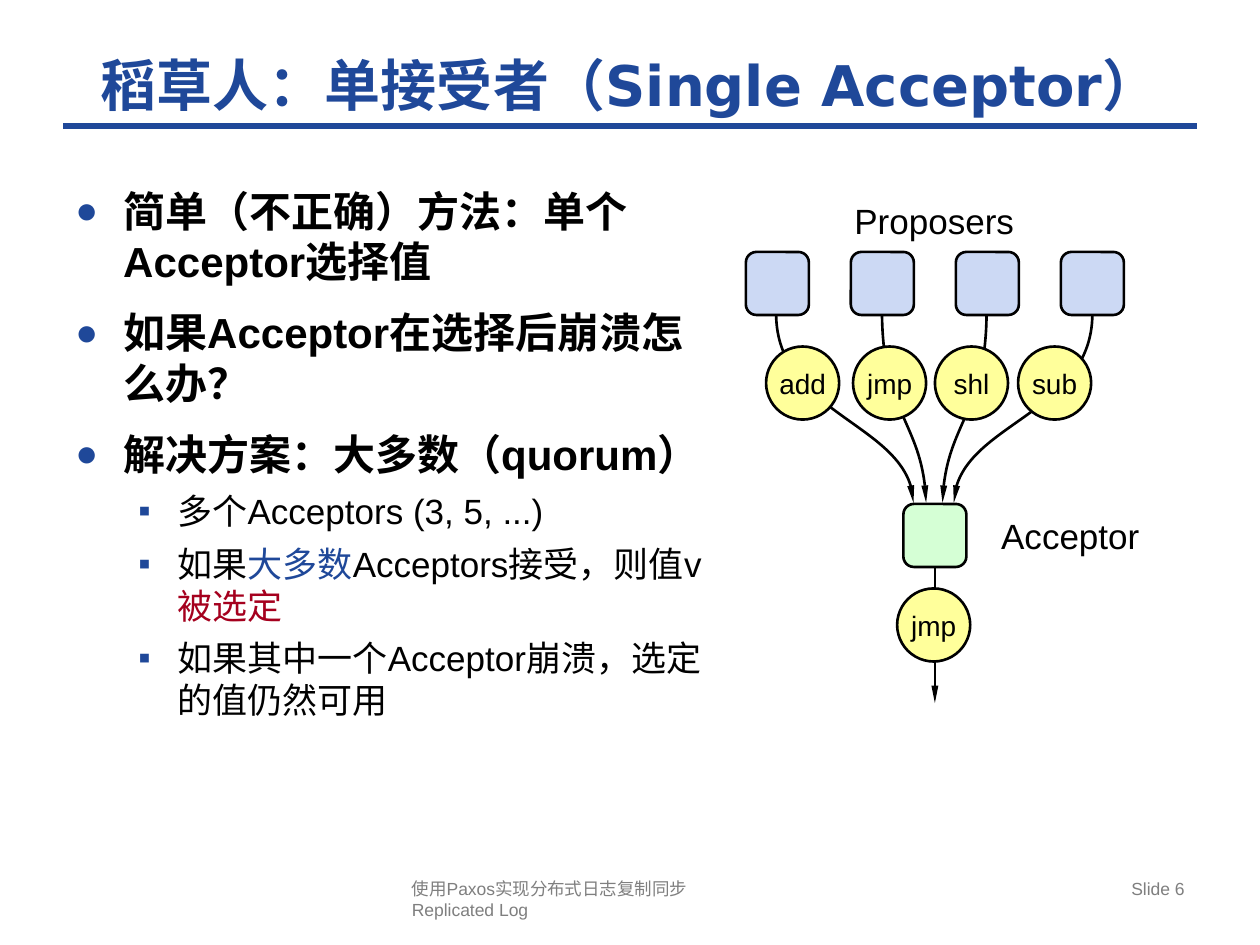
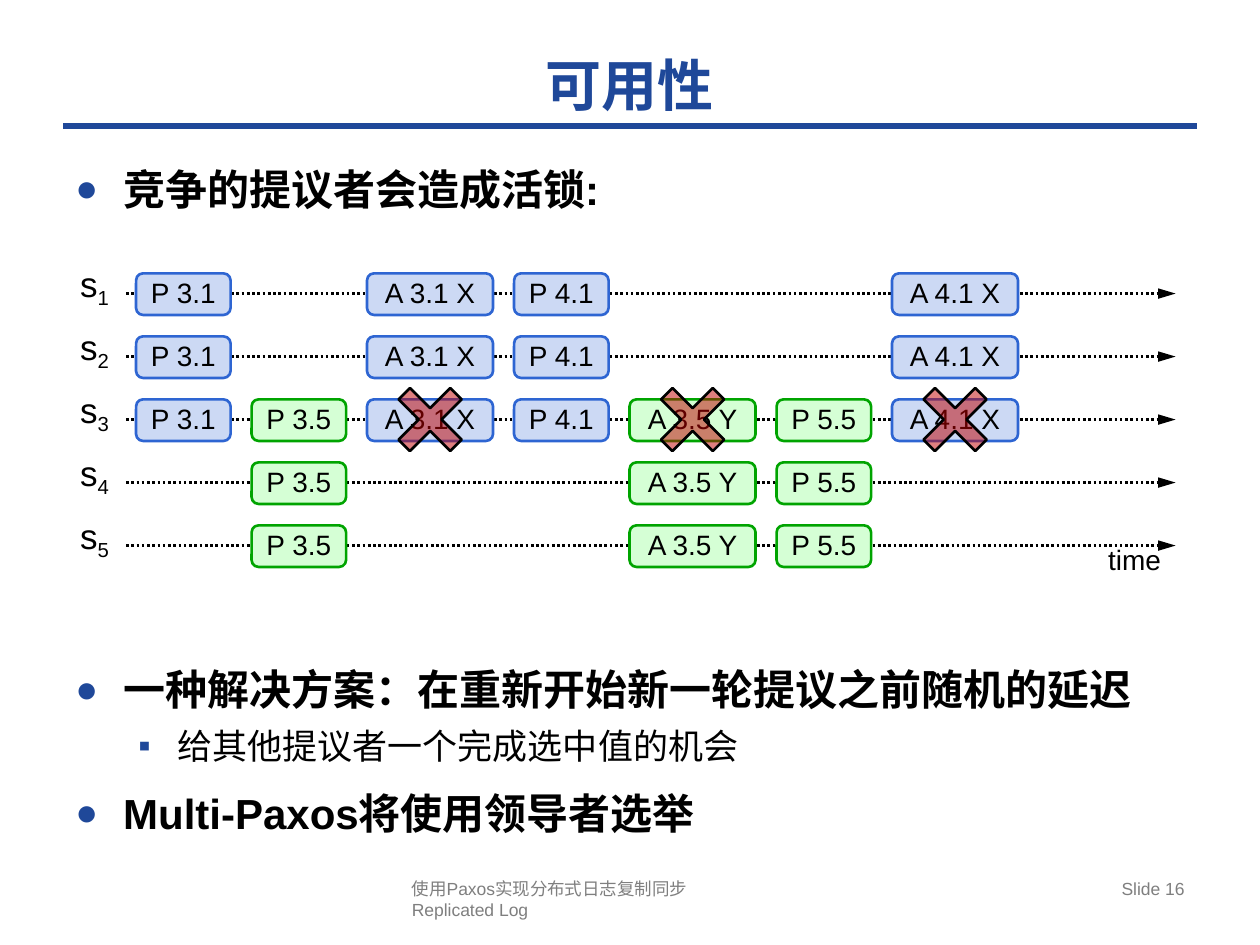
from lxml.etree import SubElement
from pptx import Presentation
from pptx.dml.color import RGBColor
from pptx.enum.dml import MSO_LINE
from pptx.enum.shapes import MSO_CONNECTOR, MSO_SHAPE
from pptx.enum.text import MSO_ANCHOR, MSO_AUTO_SIZE, PP_ALIGN
from pptx.oxml.ns import qn
from pptx.util import Inches, Pt

BLUE = RGBColor(0x1F, 0x48, 0x99)
RED = RGBColor(0xA5, 0x00, 0x1E)
CROSS = RGBColor(0xC0, 0x00, 0x00)
BLACK = RGBColor(0, 0, 0)
GRAY = RGBColor(0x7F, 0x7F, 0x7F)
SKY = RGBColor(0xCC, 0xD9, 0xF4)
EDGE = RGBColor(0x2E, 0x65, 0xD2)
MINT = RGBColor(0xD5, 0xFF, 0xD5)
GREEN = RGBColor(0x00, 0xA4, 0x00)
LEMON = RGBColor(0xFF, 0xFF, 0x9B)
FONT = "Arial"
HEAD = "DejaVu Sans"
FOOT = "使用Paxos实现分布式日志复制同步\nReplicated Log"


def style(para, size, color=BLACK, bold=False, name=FONT):
    for run in para.runs:
        font = run.font
        font.name, font.size, font.bold = name, Pt(size), bold
        font.color.rgb = color


def fit(frame, pad=0):
    frame.word_wrap = True
    frame.margin_left = frame.margin_right = Inches(pad)
    frame.margin_top = frame.margin_bottom = Inches(pad / 2)


def label(slide, text, box, size, color=BLACK, align=PP_ALIGN.CENTER, pad=0):
    frame = slide.shapes.add_textbox(*map(Inches, box)).text_frame
    fit(frame, pad)
    para = frame.paragraphs[0]
    para.text = text
    para.alignment = align
    style(para, size, color)
    return para


def node(slide, kind, box, fill, edge=BLACK, text="", pitch=None):
    shape = slide.shapes.add_shape(kind, *map(Inches, box))
    shape.shadow.inherit = False
    shape.fill.solid()
    shape.fill.fore_color.rgb = fill
    shape.line.color.rgb = edge
    shape.line.width = Pt(1.5)
    if text:
        frame = shape.text_frame
        fit(frame)
        frame.vertical_anchor = MSO_ANCHOR.MIDDLE
        para = frame.paragraphs[0]
        para.text = text
        para.alignment = PP_ALIGN.CENTER
        if pitch:
            para.line_spacing = Pt(pitch)
        style(para, 16)
    return shape


def ink(shape, color=BLACK, width=1.5, dash=None, tip=None):
    shape.line.color.rgb = color
    shape.line.width = Pt(width)
    if dash:
        shape.line.dash_style = dash
    props = shape.element.spPr
    if tip:
        SubElement(props.find(qn("a:ln")), qn("a:tailEnd"), type="triangle", w=tip, len="lg")
    SubElement(props, qn("a:effectLst"))


def wire(slide, ends, **look):
    ink(slide.shapes.add_connector(MSO_CONNECTOR.STRAIGHT, *map(Inches, ends)), **look)


def curve(slide, start, *points):
    pen = slide.shapes.build_freeform(*map(Inches, start))
    pen.add_line_segments([tuple(map(Inches, point)) for point in points], close=False)
    shape = pen.convert_to_shape()
    shape.fill.background()
    ink(shape, tip="sm")
    track = next(shape.element.iter(qn("a:path")))
    legs = track.findall(qn("a:lnTo"))
    bend = SubElement(track, qn("a:cubicBezTo"))
    for leg in legs:
        bend.append(leg[0])
        track.remove(leg)


def bullet(para, level):
    left, hang, mark, gap, scale = [(0.38, 0.38, "●", 12, 90), (0.81, 0.31, "▪", 6, 100)][level]
    para.level = level
    para.space_before = Pt(gap)
    props = para._p.get_or_add_pPr()
    props.set("marL", str(Inches(left)))
    props.set("indent", str(-Inches(hang)))
    tint = SubElement(props, qn("a:buClr"))
    SubElement(tint, qn("a:srgbClr"), val=str(BLUE))
    SubElement(props, qn("a:buSzPct"), val=str(scale * 1000))
    SubElement(props, qn("a:buFont"), typeface=FONT)
    SubElement(props, qn("a:buChar"), char=mark)


def body(slide, box, items):
    frame = slide.shapes.add_textbox(*map(Inches, box)).text_frame
    fit(frame, 0.1)
    for i, (level, parts) in enumerate(items):
        para = frame.add_paragraph() if i else frame.paragraphs[0]
        bullet(para, level)
        for text, _ in parts:
            para.add_run().text = text
        style(para, 20 if level else 24, bold=not level)
        for run, (_, color) in zip(para.runs, parts):
            run.font.color.rgb = color
    return frame


def plain(level, text):
    return level, [(text, BLACK)]


def start(deck, name, number):
    slide = deck.slides.add_slide(deck.slide_layouts[5])
    wire(slide, (0.5, 1, 9.5, 1), color=BLUE, width=4)
    title = slide.shapes.title
    title.left, title.top, title.width, title.height = map(Inches, (0.5, 0.33, 9, 0.67))
    frame = title.text_frame
    frame.text = name
    frame.auto_size = MSO_AUTO_SIZE.NONE
    frame.vertical_anchor = MSO_ANCHOR.MIDDLE
    fit(frame, 0.1)
    frame.paragraphs[0].alignment = PP_ALIGN.CENTER
    style(frame.paragraphs[0], 32, BLUE, True, HEAD)
    label(slide, FOOT, (3.17, 6.92, 3.75, 0.43), 10, GRAY, PP_ALIGN.LEFT, 0.1)
    label(slide, f"Slide {number}", (7.17, 6.92, 2.33, 0.43), 10, GRAY, PP_ALIGN.RIGHT, 0.1)
    return slide


def single(deck):
    slide = start(deck, "稻草人：单接受者（Single Acceptor）", 6)
    body(slide, (0.5, 1.42, 5.33, 5.25), [
        plain(0, "简单（不正确）方法：单个Acceptor选择值"),
        plain(0, "如果Acceptor在选择后崩溃怎么办？"),
        plain(0, "解决方案：大多数（quorum）"),
        plain(1, "多个Acceptors (3, 5, ...)"),
        (1, [("如果", BLACK), ("大多数", BLUE),
             ("Acceptors接受，则值v", BLACK), ("被选定", RED)]),
        plain(1, "如果其中一个Acceptor崩溃，选定的值仍然可用"),
    ])
    for i in range(4):
        node(slide, MSO_SHAPE.ROUNDED_RECTANGLE, (5.92 + i * 2.5 / 3, 2, 0.5, 0.5), SKY)
    node(slide, MSO_SHAPE.ROUNDED_RECTANGLE, (7.17, 4, 0.5, 0.5), MINT)
    label(slide, "Proposers", (6.75, 1.58, 1.33, 0.34), 20)
    label(slide, "Acceptor", (7.83, 4.08, 1.33, 0.34), 20)
    for top, end in [(6.16, 7.25), (7, 7.35), (7.83, 7.48), (8.67, 7.57)]:
        side = 0.01 if end > top else -0.01
        curve(slide, (top, 2.5), (top + side, 3.25), (end - 2 * side, 3.37), (end, 3.99))
    wire(slide, (7.42, 4.5, 7.42, 5.58), tip="sm")
    for text, left, top in [("add", 6.08, 2.75), ("jmp", 6.77, 2.75), ("shl", 7.42, 2.75),
                            ("sub", 8.08, 2.75), ("jmp", 7.12, 4.67)]:
        node(slide, MSO_SHAPE.OVAL, (left, top, 0.58, 0.58), LEMON, text=text)


def cross(slide, x, y):
    shape = node(slide, MSO_SHAPE.CROSS, (x - 0.29, y - 0.29, 0.58, 0.58), CROSS)
    shape.adjustments[0] = 0.39
    shape.rotation = 45
    tint = next(shape.element.spPr.find(qn("a:solidFill")).iter(qn("a:srgbClr")))
    SubElement(tint, qn("a:alpha"), val="50000")


def live(deck):
    slide = start(deck, "可用性", 16)
    frame = body(slide, (0.5, 1.25, 9, 5.5), [
        plain(0, "竞争的提议者会造成活锁:"),
        plain(0, "一种解决方案：在重新开始新一轮提议之前随机的延迟"),
        plain(1, "给其他提议者一个完成选中值的机会"),
        plain(0, "Multi-Paxos将使用领导者选举"),
    ])
    frame.paragraphs[1].space_before = Pt(257)
    rows = [2.33 + i / 2 for i in range(5)]
    for i, y in enumerate(rows, 1):
        wire(slide, (1, y, 9.33, y), dash=MSO_LINE.ROUND_DOT, tip="med")
        para = label(slide, "s", (0.5, y - 0.25, 0.5, 0.34), 20)
        para.add_run().text = str(i)
        style(para, 20)
        para.runs[1].font._element.set("baseline", "-25000")
    label(slide, "time", (8.67, 4.31, 0.67, 0.27), 16)
    left = 1.08
    for text in ["P 3.1", "P 3.5", "A 3.1 X", "P 4.1", "A 3.5 Y", "P 5.5", "A 4.1 X"]:
        late = ".5" in text
        vote = text.startswith("A")
        wide = 1 if vote else 0.75
        fill, edge = (MINT, GREEN) if late else (SKY, EDGE)
        for y in rows[2:] if late else rows[:3]:
            node(slide, MSO_SHAPE.ROUNDED_RECTANGLE, (left, y - 0.16, wide, 0.33),
                 fill, edge, text, 17)
        if vote:
            cross(slide, left + wide / 2, rows[2])
        left += wide + 0.5 / 3


def main():
    deck = Presentation()
    deck.slide_width, deck.slide_height = Inches(10), Inches(7.5)
    single(deck)
    live(deck)
    deck.save("out.pptx")


main()
